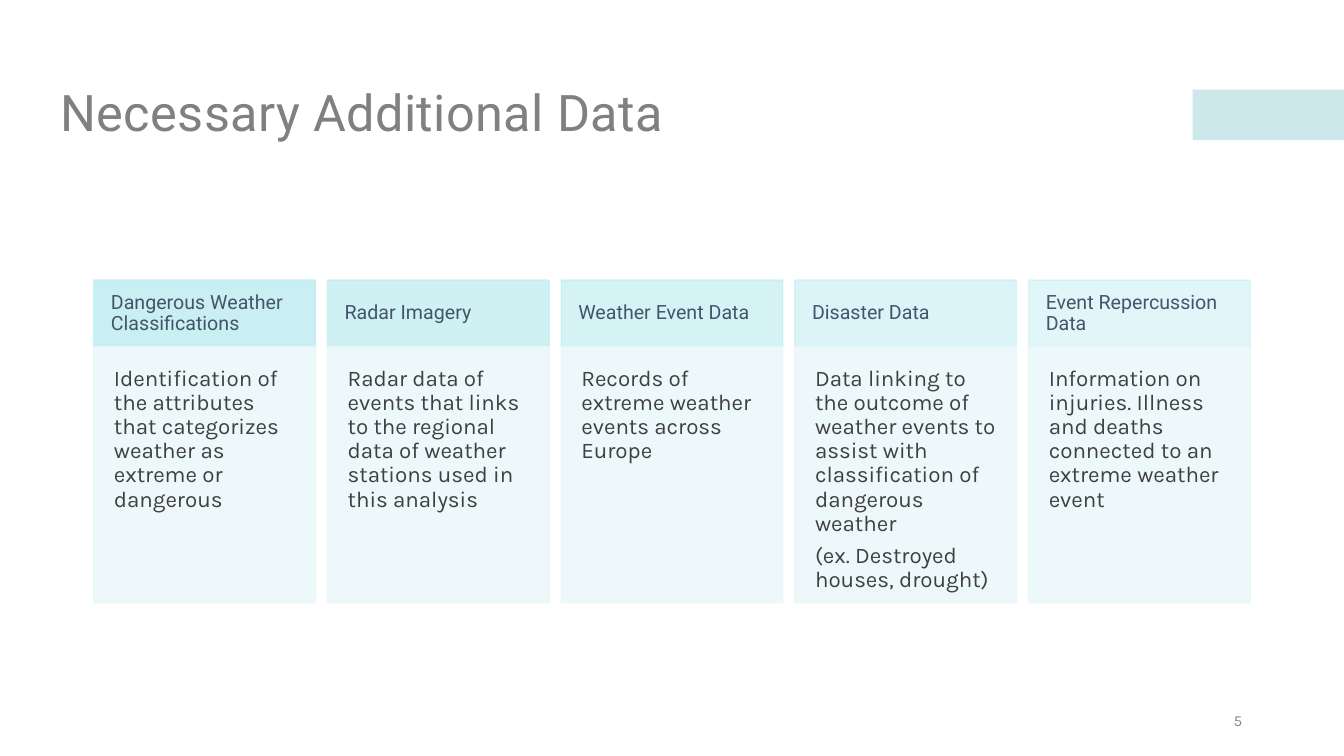
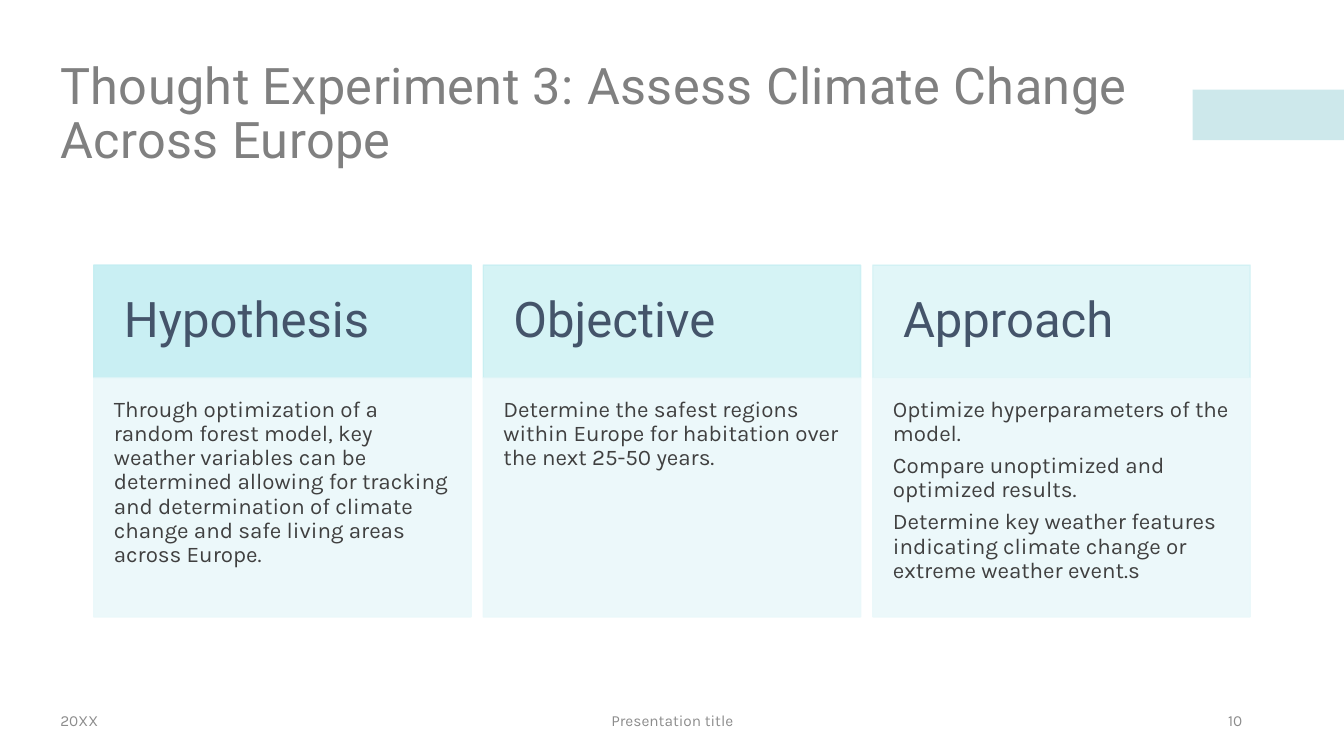
from lxml.etree import SubElement
from pptx import Presentation
from pptx.dml.color import RGBColor
from pptx.enum.shapes import MSO_SHAPE as Shape
from pptx.enum.text import MSO_ANCHOR as Anchor, PP_ALIGN as Align
from pptx.oxml.ns import qn
from pptx.util import Emu, Pt

SCALE = 9144
WIDE, HIGH = 1333, 750
GAP = 12
BAND, HEAD, BODY = "9CD3D9", "C4EEF2", "EAF8FA"
TITLE = dict(name="Roboto", size=36, color="808080", lead=0.9)
LABEL = dict(name="Roboto", color="44546A", lead=0.9)
PROSE = dict(name="Karla", size=16, color="404040", lead=0.9)
FOOT = dict(name="Karla", size=11, color="8C8C8C", lead=1)

DATA = [
    ("Dangerous Weather Classifications",
     ["Identification of the attributes that categorizes weather as extreme or dangerous"]),
    ("Radar Imagery",
     ["Radar data of events that links to the regional data of weather stations used in this analysis"]),
    ("Weather Event Data",
     ["Records of extreme weather events across Europe"]),
    ("Disaster Data",
     ["Data linking to the outcome of weather events to assist with classification of dangerous weather",
      "(ex. Destroyed houses, drought)"]),
    ("Event Repercussion Data",
     ["Information on injuries. Illness and deaths connected to an extreme weather event"]),
]
PLAN = [
    ("Hypothesis",
     ["Through optimization of a random forest model, key weather variables can be determined "
      "allowing for tracking and determination of climate change and safe living areas across Europe."]),
    ("Objective",
     ["Determine the safest regions within Europe for habitation over the next 25-50 years."]),
    ("Approach",
     ["Optimize hyperparameters of the model.",
      "Compare unoptimized and optimized results.",
      "Determine key weather features indicating climate change or extreme weather event.s"]),
]


def px(n):
    return Emu(round(n * SCALE))


def rgb(code):
    return RGBColor.from_string(code)


def put(obj, **vals):
    for key, val in vals.items():
        setattr(obj, key, val)


def write(shape, lines, style, anchor=Anchor.MIDDLE, align=Align.LEFT, inset=None, after=0):
    frame = shape.text_frame
    put(frame, word_wrap=True, vertical_anchor=anchor)
    if inset is not None:
        sides = ("left", "top", "right", "bottom")
        put(frame, **{f"margin_{side}": px(inset) for side in sides})
    for i, line in enumerate(lines):
        para = frame.add_paragraph() if i else frame.paragraphs[0]
        put(para, alignment=align, line_spacing=style["lead"],
            space_before=Pt(0), space_after=Pt(style["size"] * after))
        run = para.add_run()
        run.text = line
        put(run.font, name=style["name"], size=Pt(style["size"]))
        run.font.color.rgb = rgb(style["color"])


def label(slide, box, text, style, align=Align.LEFT):
    shape = slide.shapes.add_textbox(*map(px, box))
    write(shape, [text], style, align=align)
    return shape


def block(slide, box, color, alpha, edge=True):
    shape = slide.shapes.add_shape(Shape.RECTANGLE, *map(px, box))
    shape.shadow.inherit = False
    shape.fill.solid()
    shape.fill.fore_color.rgb = rgb(color)
    if edge:
        shape.line.color.rgb = rgb(color)
        shape.line.width = Pt(1)
    else:
        shape.line.fill.background()
    for tone in list(shape.element.iter(qn("a:srgbClr"))):
        SubElement(tone, qn("a:alpha")).set("val", str(round(alpha * 1000)))
    return shape


def base(deck, title, page, date="", name=""):
    slide = deck.slides.add_slide(deck.slide_layouts[6])
    block(slide, (WIDE - 150, 89, 150, 50), BAND, 50, edge=False)
    head = label(slide, (50, 42, 1233, 145), title, TITLE)
    for props in head.element.iter(qn("a:rPr")):
        props.set("spc", "30")
    feet = [(50, 300, date, Align.LEFT), (442, 450, name, Align.CENTER),
            (942, 300, page, Align.RIGHT)]
    for left, wide, text, align in feet:
        if text:
            label(slide, (left, 695, wide, 40), text, FOOT, align)
    return slide


def cards(slide, box, items, split, size, inset):
    left, top, wide, high = box
    count = len(items)
    width = (wide - GAP * (count - 1)) / count
    for i, (name, lines) in enumerate(items):
        x = left + i * (width + GAP)
        head = block(slide, (x, top, width, split), HEAD, 90 - 40 * i / (count - 1))
        write(head, [name], {**LABEL, "size": size}, inset=inset, after=0.35)
        body = block(slide, (x, top + split, width, high - split), BODY, 90)
        write(body, lines, PROSE, anchor=Anchor.TOP, inset=20, after=0.35)


def main():
    deck = Presentation()
    put(deck, slide_width=px(WIDE), slide_height=px(HIGH))
    slide = base(deck, "Necessary Additional Data", "5")
    cards(slide, (93, 278, 1147, 320), DATA, split=66, size=14, inset=17)
    slide = base(deck, "Thought Experiment 3: Assess Climate Change Across Europe",
                 "10", "20XX", "Presentation title")
    cards(slide, (93, 263, 1147, 349), PLAN, split=112, size=35, inset=30)
    deck.save("out.pptx")


if __name__ == "__main__":
    main()
